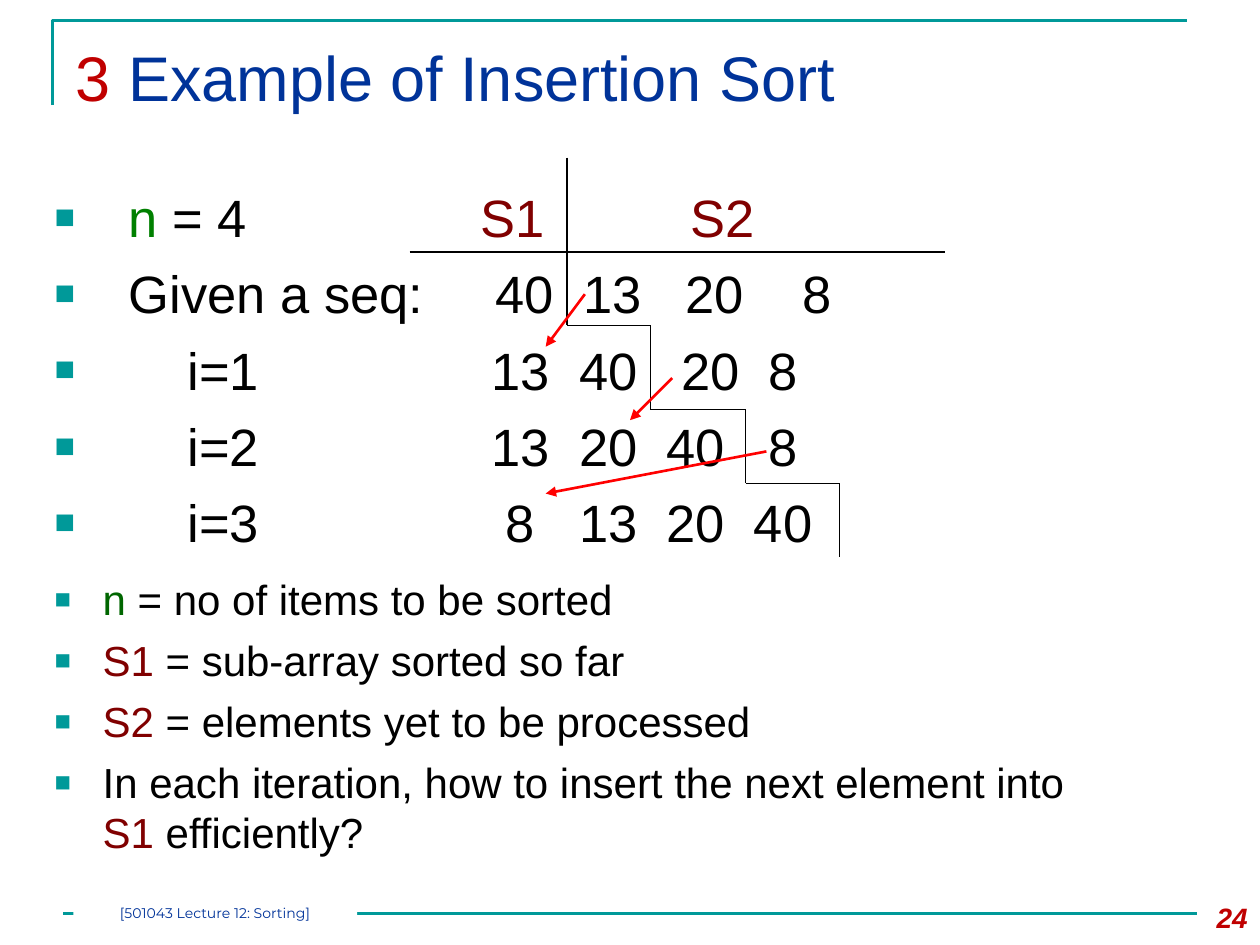
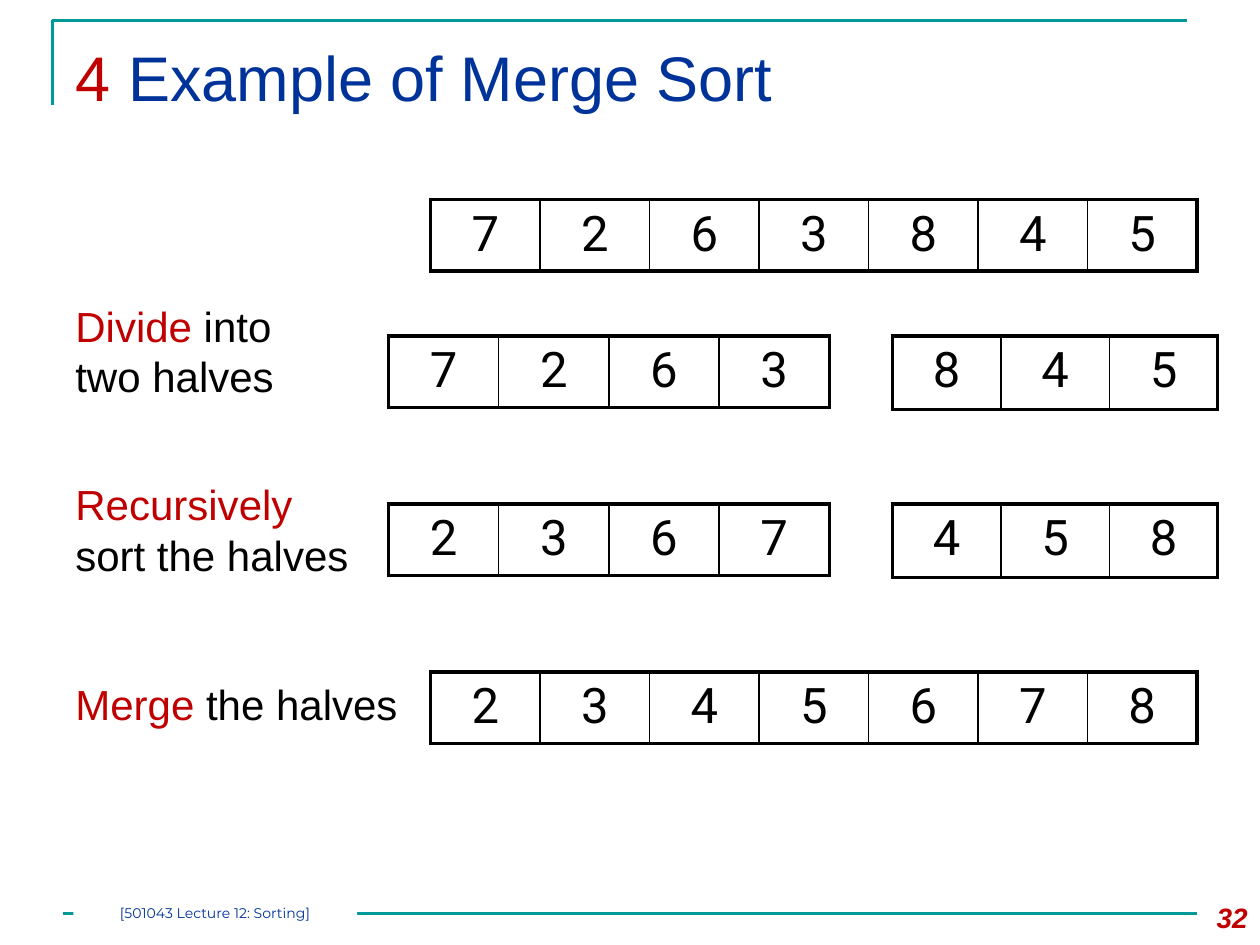
"""Build two lecture slides with worked examples of insertion sort and merge sort."""
from itertools import pairwise

from lxml import etree
from pptx import Presentation
from pptx.dml.color import RGBColor
from pptx.enum.shapes import MSO_CONNECTOR, MSO_SHAPE
from pptx.enum.text import MSO_ANCHOR, PP_ALIGN
from pptx.oxml.ns import qn
from pptx.util import Cm, Pt

STRAIGHT = MSO_CONNECTOR.STRAIGHT
RECTANGLE = MSO_SHAPE.RECTANGLE
TOP = MSO_ANCHOR.TOP
LEFT, CENTER, RIGHT = PP_ALIGN.LEFT, PP_ALIGN.CENTER, PP_ALIGN.RIGHT

COLORS = {
    "teal": "009999", "navy": "003399", "crimson": "C00000", "black": "000000",
    "white": "FFFFFF", "red": "FF0000", "maroon": "800000", "green": "008000",
    "dark green": "006600",
}
FOOTER = "[501043 Lecture 12: Sorting]"
TITLE_FONT_SIZE, TRACE_SIZE, NOTE_SIZE, CELL_SIZE = 36, 30, 24, 28

TRACE_INDENT, STEP_INDENT, NOTE_INDENT = 1.5, 2.68, 0.97
TRACE_LABELS = [
    ([("n", "green"), (" = 4", "black")], TRACE_INDENT),
    ([("Given a seq:", "black")], TRACE_INDENT),
    ([("i=1", "black")], STEP_INDENT),
    ([("i=2", "black")], STEP_INDENT),
    ([("i=3", "black")], STEP_INDENT),
]
NOTES = [
    [("n ", "dark green"), ("= no of items to be sorted", "black")],
    [("S1", "maroon"), (" = sub-array sorted so far", "black")],
    [("S2", "maroon"), (" = elements yet to be processed", "black")],
    [("In each iteration, how to insert the next element into ", "black"),
     ("S1", "maroon"), (" efficiently?", "black")],
]
TRACE_LEFT, TRACE_TOP = 9, 3.61
TRACE_ROWS = [
    ("maroon", {"S1": 9.68, "S2": 13.92}),
    ("black", {"40": 9.98, "13": 11.76, "20": 13.82, "8": 16.18}),
    ("black", {"13": 9.91, "40": 11.68, "20": 13.74, "8": 15.49}),
    ("black", {"13": 9.91, "20": 11.68, "40": 13.44, "8": 15.49}),
    ("black", {"8": 10.19, "13": 11.68, "20": 13.44, "40": 15.2}),
]
HEADER_RULE = [(8.26, 5.08), (19.05, 5.08)]
SORTED_BOUNDARY = [
    (11.43, 3.18), (11.43, 6.56), (13.12, 6.56), (13.12, 8.26),
    (15.03, 8.26), (15.03, 9.74), (16.93, 9.74), (16.93, 11.22),
]
INSERT_MOVES = [
    ((11.79, 5.93), (11, 6.99)),
    ((13.55, 7.62), (12.7, 8.47)),
    ((15.45, 9.1), (11, 9.95)),
]

WHOLE = (8.68, 15.45, 1.43)
LEFT_HALF = (7.83, 8.89, 1.43)
RIGHT_HALF = (17.99, 6.56, 1.48)
MERGE_ARRAYS = [
    (WHOLE, 4.02, "7263845"),
    (LEFT_HALF, 6.77, "7263"),
    (RIGHT_HALF, 6.77, "845"),
    (LEFT_HALF, 10.16, "2367"),
    (RIGHT_HALF, 10.16, "458"),
    (WHOLE, 13.55, "2345678"),
]
MERGE_STEPS = [
    ("Divide", " into two halves", 5.93, 4.9),
    ("Recursively", " sort the halves", 9.53, 6.35),
    ("Merge", " the halves", 13.55, 7.3),
]


def rgb(name):
    return RGBColor.from_string(COLORS[name])


def write(paragraph, pieces, size, font="Arial", align=LEFT):
    paragraph.alignment = align
    for words, color in pieces:
        run = paragraph.add_run()
        run.text = words
        run.font.name = font
        run.font.size = Pt(size)
        run.font.color.rgb = rgb(color)


def add_text_frame(slide, left, top, width, height):
    frame = slide.shapes.add_textbox(Cm(left), Cm(top), Cm(width), Cm(height)).text_frame
    frame.word_wrap = True
    return frame


def next_paragraph(frame):
    first = frame.paragraphs[0]
    return frame.add_paragraph() if first.runs else first


def add_line(slide, start, end, color="black", width=0.75, arrow=False):
    line = slide.shapes.add_connector(STRAIGHT, *(Cm(v) for v in (*start, *end)))
    line.line.color.rgb = rgb(color)
    line.line.width = Pt(width)
    properties = line._element.spPr
    if arrow:
        etree.SubElement(properties.find(qn("a:ln")), qn("a:tailEnd"), type="triangle")
    etree.SubElement(properties, qn("a:effectLst"))


def add_bullet(frame, pieces, size, indent, space):
    paragraph = next_paragraph(frame)
    write(paragraph, pieces, size)
    paragraph.space_before = Pt(space)
    properties = paragraph._p.get_or_add_pPr()
    properties.set("marL", str(Cm(indent)))
    properties.set("indent", str(-Cm(indent)))
    color = etree.SubElement(properties, qn("a:buClr"))
    etree.SubElement(color, qn("a:srgbClr"), val=COLORS["teal"])
    etree.SubElement(properties, qn("a:buSzPct"), val="65000")
    etree.SubElement(properties, qn("a:buFont"), typeface="Arial")
    etree.SubElement(properties, qn("a:buChar"), char="■")


def add_trace_row(frame, color, stops):
    paragraph = next_paragraph(frame)
    write(paragraph, [("\t" + "\t".join(stops), color)], TRACE_SIZE)
    paragraph.space_before = Pt(TRACE_SIZE / 4)
    tabs = etree.SubElement(paragraph._p.get_or_add_pPr(), qn("a:tabLst"))
    for stop in stops.values():
        etree.SubElement(tabs, qn("a:tab"), pos=str(Cm(stop - TRACE_LEFT)), algn="l")


def set_borders(cell, widths):
    properties = cell._tc.get_or_add_tcPr()
    for position, (side, width) in enumerate(widths.items()):
        border = etree.Element(qn(f"a:{side}"), w=str(Pt(width)))
        fill = etree.SubElement(border, qn("a:solidFill"))
        etree.SubElement(fill, qn("a:srgbClr"), val=COLORS["black"])
        properties.insert(position, border)


def add_array(slide, place, top, digits):
    left, width, height = place
    table = slide.shapes.add_table(
        1, len(digits), Cm(left), Cm(top), Cm(width), Cm(height)).table
    table.first_row = table.horz_banding = False
    last = len(digits) - 1
    for column, digit in enumerate(digits):
        cell = table.cell(0, column)
        cell.fill.background()
        write(cell.text_frame.paragraphs[0], [(digit, "black")], CELL_SIZE, "Roboto", CENTER)
        set_borders(cell, {
            "lnL": 2.25 if column == 0 else 1,
            "lnR": 2.25 if column == last else 1,
            "lnT": 2.25,
            "lnB": 2.25,
        })


def add_slide(deck, section, heading, number):
    slide = deck.slides.add_slide(deck.slide_layouts[5])
    builder = slide.shapes.build_freeform(Cm(1.06), Cm(2.12))
    builder.add_line_segments([(Cm(1.06), Cm(0.42)), (Cm(23.92), Cm(0.42))], close=False)
    corner = builder.convert_to_shape()
    corner.shadow.inherit = False
    corner.fill.background()
    corner.line.color.rgb = rgb("teal")
    corner.line.width = Pt(1.5)

    title = slide.shapes.title
    title.left, title.top, title.width, title.height = Cm(1.27), Cm(0.64), Cm(22.86), Cm(2.54)
    title.text_frame.vertical_anchor = TOP
    write(title.text_frame.paragraphs[0],
          [(f"{section} ", "crimson"), (heading, "navy")], TITLE_FONT_SIZE)

    add_line(slide, (1.27, 18.42), (24.13, 18.42), "teal", 1.5)
    footer = slide.shapes.add_shape(RECTANGLE, Cm(1.48), Cm(18.2), Cm(5.72), Cm(0.42))
    footer.shadow.inherit = False
    footer.fill.solid()
    footer.fill.fore_color.rgb = rgb("white")
    footer.line.fill.background()
    frame = footer.text_frame
    frame.margin_left = frame.margin_right = frame.margin_top = frame.margin_bottom = 0
    write(frame.paragraphs[0], [(FOOTER, "navy")], 8, "Montserrat", CENTER)

    page = add_text_frame(slide, 23.7, 18.03, 1.7, 1.02).paragraphs[0]
    write(page, [(number, "crimson")], 16, align=RIGHT)
    page.runs[0].font.bold = page.runs[0].font.italic = True
    return slide


def add_insertion_sort(deck):
    slide = add_slide(deck, 3, "Example of Insertion Sort", "24")
    body = add_text_frame(slide, 0.85, TRACE_TOP, 21.59, 13.76)
    for pieces, indent in TRACE_LABELS:
        add_bullet(body, pieces, TRACE_SIZE, indent, TRACE_SIZE / 4)
    for position, pieces in enumerate(NOTES):
        add_bullet(body, pieces, NOTE_SIZE, NOTE_INDENT, NOTE_SIZE / 4 if position else 12)

    trace = add_text_frame(slide, TRACE_LEFT, TRACE_TOP, 10, 7.6)
    trace.margin_left = 0
    for color, stops in TRACE_ROWS:
        add_trace_row(trace, color, stops)

    add_line(slide, *HEADER_RULE)
    for start, end in pairwise(SORTED_BOUNDARY):
        add_line(slide, start, end)
    for start, end in INSERT_MOVES:
        add_line(slide, start, end, "red", 1.5, arrow=True)


def add_merge_sort(deck):
    slide = add_slide(deck, 4, "Example of Merge Sort", "32")
    for place, top, digits in MERGE_ARRAYS:
        add_array(slide, place, top, digits)
    for action, rest, top, width in MERGE_STEPS:
        step = add_text_frame(slide, 1.27, top, width, 2.31 if width < 7 else 1.27)
        write(step.paragraphs[0], [(action, "crimson"), (rest, "black")], NOTE_SIZE)


def main():
    deck = Presentation()
    deck.slide_width, deck.slide_height = Cm(25.4), Cm(19.05)
    add_insertion_sort(deck)
    add_merge_sort(deck)
    deck.save("out.pptx")


if __name__ == "__main__":
    main()
